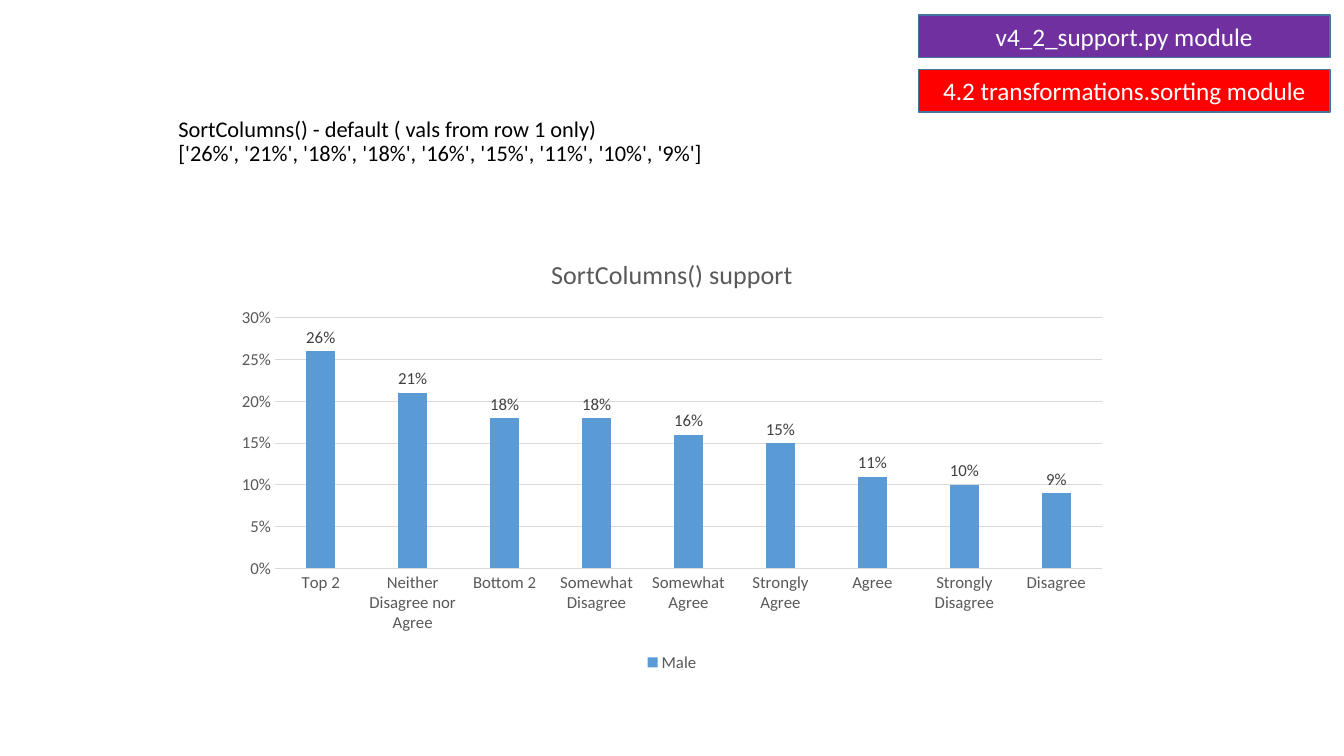
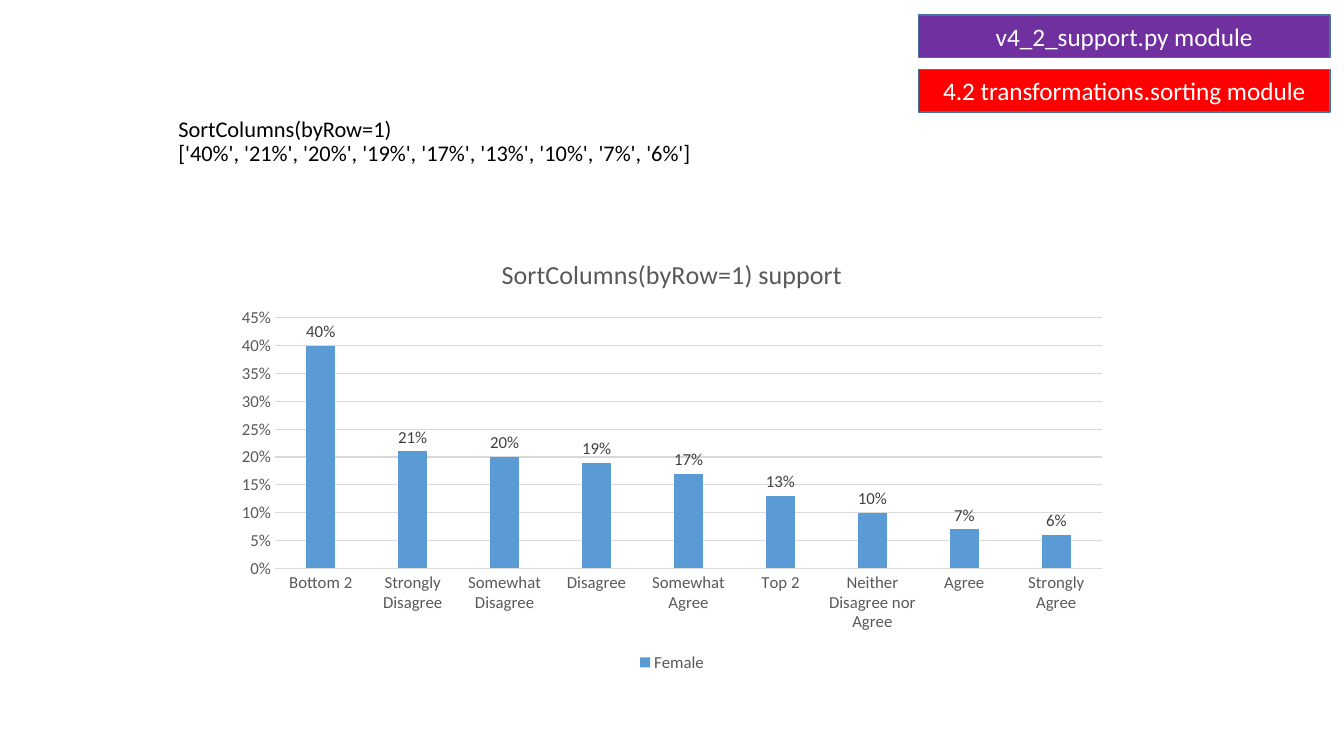
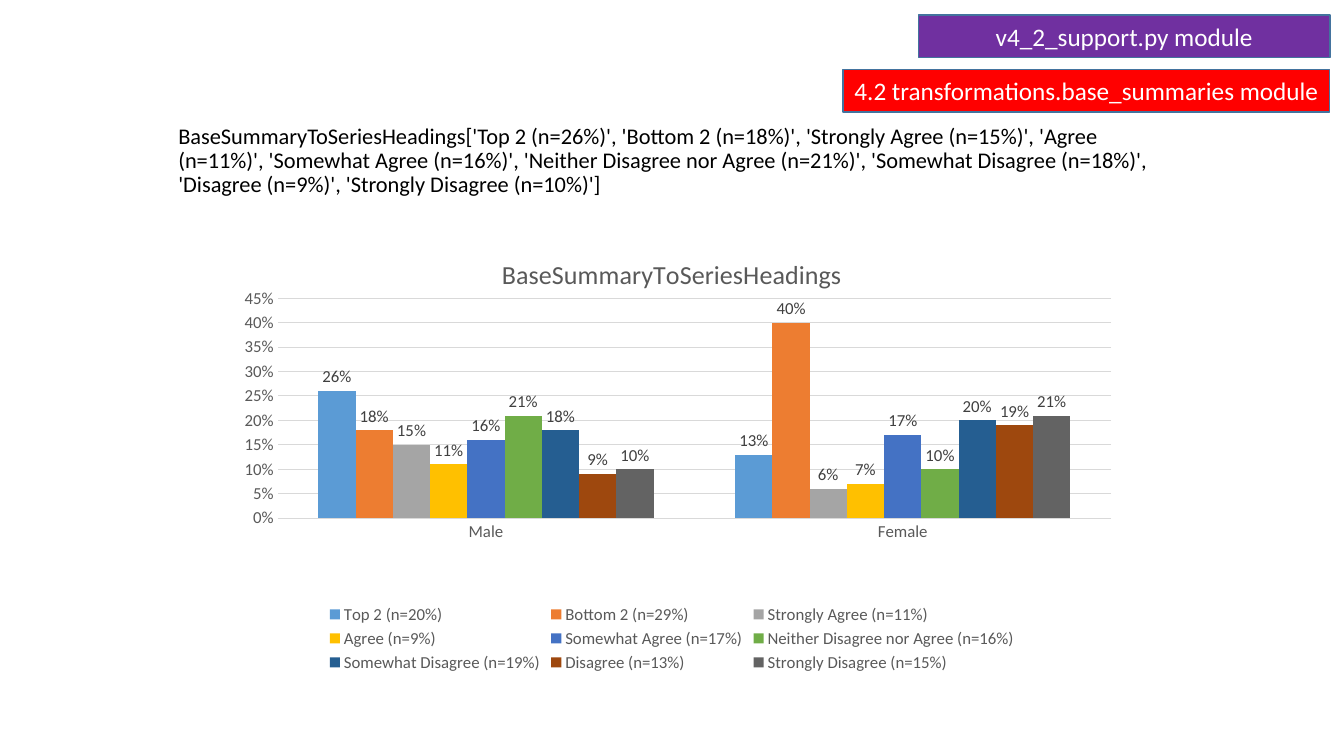
from lxml import etree
from pptx import Presentation
from pptx.chart.data import CategoryChartData
from pptx.dml.color import RGBColor
from pptx.enum import chart as charts, shapes, text
from pptx.oxml import ns
from pptx.util import Inches, Pt

FONT = "Calibri"
PURPLE = RGBColor(0x70, 0x30, 0xA0)
RED = RGBColor(0xFF, 0x00, 0x00)
EDGE = RGBColor(0x43, 0x73, 0x9E)
WHITE = RGBColor(0xFF, 0xFF, 0xFF)
BLACK = RGBColor(0x00, 0x00, 0x00)
GRAY = RGBColor(0x59, 0x59, 0x59)
DARK = RGBColor(0x40, 0x40, 0x40)
PALE = RGBColor(0xD9, 0xD9, 0xD9)
SERIES_COLORS = [RGBColor.from_string(code) for code in (
    "5B9BD5", "ED7D31", "A5A5A5", "FFC000", "4472C4",
    "70AD47", "255E91", "9E480E", "636363")]

SUPPORT_MODULE = "v4_2_support.py module"
SORTING_MODULE = "4.2 transformations.sorting module"
BAND_RIGHT = 13.19
BAND_WIDTH = 4.08

SLIDES = [
    {
        "module": SORTING_MODULE,
        "band_width": BAND_WIDTH,
        "heading": "SortColumns() - default ( vals from row 1 only)\n"
                   "['26%', '21%', '18%', '18%', '16%', '15%', '11%', '10%', '9%']",
        "heading_top": 0.94,
        "heading_height": 0.76,
        "title": "SortColumns() support",
        "categories": ["Top 2", "Neither Disagree nor Agree", "Bottom 2",
                       "Somewhat Disagree", "Somewhat Agree", "Strongly Agree",
                       "Agree", "Strongly Disagree", "Disagree"],
        "series": [("Male", (0.26, 0.21, 0.18, 0.18, 0.16, 0.15, 0.11, 0.1, 0.09))],
        "plot": None,
    },
    {
        "module": SORTING_MODULE,
        "band_width": BAND_WIDTH,
        "heading": "SortColumns(byRow=1)\n"
                   "['40%', '21%', '20%', '19%', '17%', '13%', '10%', '7%', '6%']",
        "heading_top": 0.94,
        "heading_height": 0.76,
        "title": "SortColumns(byRow=1) support",
        "categories": ["Bottom 2", "Strongly Disagree", "Somewhat Disagree",
                       "Disagree", "Somewhat Agree", "Top 2",
                       "Neither Disagree nor Agree", "Agree", "Strongly Agree"],
        "series": [("Female", (0.4, 0.21, 0.2, 0.19, 0.17, 0.13, 0.1, 0.07, 0.06))],
        "plot": None,
    },
    {
        "module": "4.2 transformations.base_summaries module",
        "band_width": 4.83,
        "heading": "BaseSummaryToSeriesHeadings['Top 2 (n=26%)', 'Bottom 2 (n=18%)', "
                   "'Strongly Agree (n=15%)', 'Agree (n=11%)', 'Somewhat Agree (n=16%)', "
                   "'Neither Disagree nor Agree (n=21%)', 'Somewhat Disagree (n=18%)', "
                   "'Disagree (n=9%)', 'Strongly Disagree (n=10%)']",
        "heading_top": 1.11,
        "heading_height": 0.9,
        "title": "BaseSummaryToSeriesHeadings",
        "categories": ["Male", "Female"],
        "series": [
            ("Top 2 (n=20%)", (0.26, 0.13)),
            ("Bottom 2 (n=29%)", (0.18, 0.4)),
            ("Strongly Agree (n=11%)", (0.15, 0.06)),
            ("Agree (n=9%)", (0.11, 0.07)),
            ("Somewhat Agree (n=17%)", (0.16, 0.17)),
            ("Neither Disagree nor Agree (n=16%)", (0.21, 0.1)),
            ("Somewhat Disagree (n=19%)", (0.18, 0.2)),
            ("Disagree (n=13%)", (0.09, 0.19)),
            ("Strongly Disagree (n=15%)", (0.1, 0.21)),
        ],
        "plot": {"x": 0.06, "y": 0.14, "w": 0.93, "h": 0.5},
    },
]


def style_font(font, size, color):
    font.name = FONT
    font.size = Pt(size)
    font.bold = False
    font.color.rgb = color


def add_band(page, label, top, width, fill):
    band = page.shapes.add_shape(
        shapes.MSO_SHAPE.RECTANGLE, Inches(BAND_RIGHT - width), Inches(top),
        Inches(width), Inches(0.42))
    band.shadow.inherit = False
    band.fill.solid()
    band.fill.fore_color.rgb = fill
    band.line.color.rgb = EDGE
    band.line.width = Pt(1)
    frame = band.text_frame
    frame.text = label
    frame.vertical_anchor = text.MSO_ANCHOR.MIDDLE
    para = frame.paragraphs[0]
    para.alignment = text.PP_ALIGN.CENTER
    style_font(para.runs[0].font, 18, WHITE)


def add_heading(page, content, top, height):
    box = page.shapes.add_textbox(Inches(1.67), Inches(top), Inches(10), Inches(height))
    frame = box.text_frame
    frame.word_wrap = True
    frame.vertical_anchor = text.MSO_ANCHOR.BOTTOM
    frame.text = content
    for para in frame.paragraphs:
        para.line_spacing = 0.9
        style_font(para.runs[0].font, 16, BLACK)


def set_plot_layout(chart, plot):
    area = chart.plots[0]._element.getparent()
    for old in area.findall(ns.qn("c:layout")):
        area.remove(old)
    layout = etree.Element(ns.qn("c:layout"))
    manual = etree.SubElement(layout, ns.qn("c:manualLayout"))
    settings = {"layoutTarget": "inner", "xMode": "edge", "yMode": "edge", **plot}
    for name, value in settings.items():
        etree.SubElement(manual, ns.qn(f"c:{name}")).set("val", str(value))
    area.insert(0, layout)


def add_column_chart(page, title, categories, series, plot):
    data = CategoryChartData(number_format="0%")
    data.categories = categories
    for name, values in series:
        data.add_series(name, values)
    chart = page.shapes.add_chart(
        charts.XL_CHART_TYPE.COLUMN_CLUSTERED, Inches(2.22), Inches(2.35),
        Inches(8.89), Inches(4.36), data).chart
    style_font(chart.font, 10, BLACK)

    chart.has_title = True
    chart.chart_title.include_in_layout = False
    frame = chart.chart_title.text_frame
    frame.text = title
    style_font(frame.paragraphs[0].runs[0].font, 18.6, GRAY)

    chart.has_legend = True
    chart.legend.position = charts.XL_LEGEND_POSITION.BOTTOM
    chart.legend.include_in_layout = False
    style_font(chart.legend.font, 12, GRAY)

    for axis in (chart.category_axis, chart.value_axis):
        axis.major_tick_mark = charts.XL_TICK_MARK.NONE
        axis.minor_tick_mark = charts.XL_TICK_MARK.NONE
        style_font(axis.tick_labels.font, 12, GRAY)
    chart.value_axis.format.line.fill.background()
    chart.value_axis.tick_labels.number_format = "0%"
    chart.value_axis.tick_labels.number_format_is_linked = False
    for line in (chart.category_axis.format.line,
                 chart.value_axis.major_gridlines.format.line):
        line.color.rgb = PALE
        line.width = Pt(0.75)

    columns = chart.plots[0]
    columns.gap_width = 219
    columns.overlap = 0
    columns.vary_by_categories = False
    columns.has_data_labels = True
    labels = columns.data_labels
    labels.show_value = True
    labels.position = charts.XL_LABEL_POSITION.OUTSIDE_END
    labels.number_format = "0%"
    labels.number_format_is_linked = False
    style_font(labels.font, 12, DARK)
    for one_series, color in zip(columns.series, SERIES_COLORS):
        one_series.format.fill.solid()
        one_series.format.fill.fore_color.rgb = color
    if plot:
        set_plot_layout(chart, plot)


def main():
    deck = Presentation()
    deck.slide_width = Inches(13.33)
    deck.slide_height = Inches(7.5)
    for content in SLIDES:
        page = deck.slides.add_slide(deck.slide_layouts[6])
        add_band(page, SUPPORT_MODULE, 0.15, BAND_WIDTH, PURPLE)
        add_heading(page, content["heading"], content["heading_top"],
                    content["heading_height"])
        add_column_chart(page, content["title"], content["categories"],
                         content["series"], content["plot"])
        add_band(page, content["module"], 0.69, content["band_width"], RED)
    deck.save("out.pptx")


if __name__ == "__main__":
    main()
